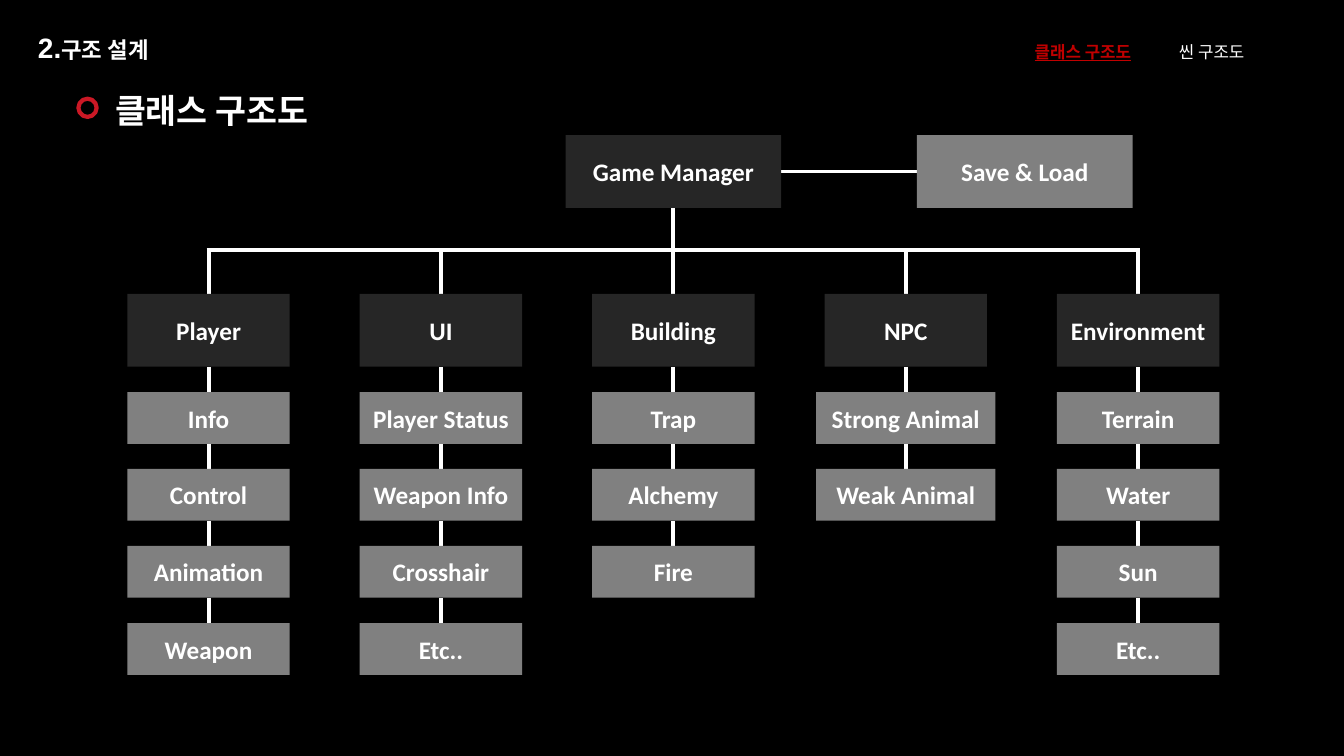
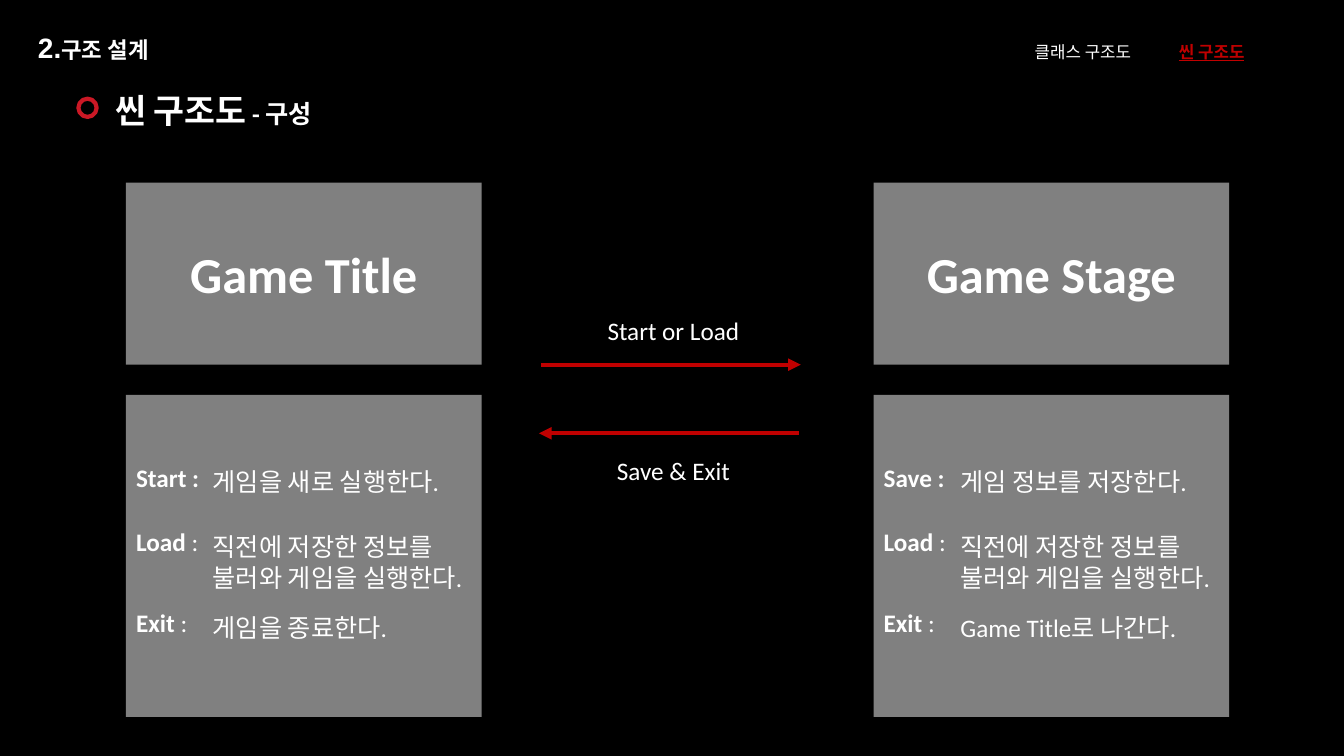
from lxml import etree
from pptx import Presentation
from pptx.dml.color import RGBColor
from pptx.enum.shapes import MSO_CONNECTOR, MSO_SHAPE
from pptx.enum.text import MSO_ANCHOR, MSO_AUTO_SIZE, PP_ALIGN
from pptx.oxml.ns import qn
from pptx.util import Pt

RECT, OVAL, STRAIGHT = MSO_SHAPE.RECTANGLE, MSO_SHAPE.OVAL, MSO_CONNECTOR.STRAIGHT
LEFT, CENTER = PP_ALIGN.LEFT, PP_ALIGN.CENTER
TOP, MIDDLE = MSO_ANCHOR.TOP, MSO_ANCHOR.MIDDLE
NO_FIT = MSO_AUTO_SIZE.NONE

COLORS = {"black": "000000", "white": "FFFFFF", "dark": "262626",
          "gray": "808080", "red": "C00000", "ring": "CB1825"}
RGB = {name: RGBColor.from_string(value) for name, value in COLORS.items()}


def write(sp, text, size=18, bold=False, color="white", font="Calibri",
          underline=False, align=LEFT):
    """Append a formatted run to the last paragraph of a shape."""
    p = sp.text_frame.paragraphs[-1]
    p.alignment = align
    r = p.add_run()
    r.text = text
    r.font.name, r.font.size = font, Pt(size)
    r.font.bold, r.font.underline = bold, underline
    r.font.color.rgb = RGB[color]


def add_line(s, x1, y1, x2, y2, color="white", width=2.75, arrow=False):
    """Draw a straight line, optionally with an arrowhead at its end."""
    c = s.shapes.add_connector(STRAIGHT, Pt(x1), Pt(y1), Pt(x2), Pt(y2))
    c.line.color.rgb, c.line.width = RGB[color], Pt(width)
    spPr = c._element.spPr
    if arrow:
        etree.SubElement(spPr.find(qn("a:ln")), qn("a:tailEnd"), type="triangle")
    etree.SubElement(spPr, qn("a:effectLst"))


prs = Presentation()
prs.slide_width, prs.slide_height = Pt(960), Pt(540)
background = prs.slide_master.background.fill
background.solid()
background.fore_color.rgb = RGB["black"]
class_slide = prs.slides.add_slide(prs.slide_layouts.get_by_name("Title Only"))
scene_slide = prs.slides.add_slide(prs.slide_layouts.get_by_name("Comparison"))

# Shared header: section, title with ring, navigation
NAV = [("클래스 구조도", 732), ("씬 구조도", 835)]
headers = [(class_slide, "클래스 구조도", ""), (scene_slide, "씬 구조도", " - 구성")]
for s, title, suffix in headers:
    sp = s.shapes.add_textbox(Pt(20), Pt(18), Pt(237), Pt(32))
    write(sp, "2.", size=20, bold=True, font="Arial")
    write(sp, "구조 설계", size=16, bold=True, font="Arial")

    sp = s.shapes.title
    sp.left, sp.top, sp.width, sp.height = Pt(75), Pt(60.5), Pt(300), Pt(36)
    tf = sp.text_frame
    tf.auto_size, tf.vertical_anchor = NO_FIT, TOP
    write(sp, title, size=24, bold=True)
    if suffix:
        write(sp, suffix, bold=True)

    ring = s.shapes.add_shape(OVAL, Pt(56), Pt(70.5), Pt(13), Pt(13))
    ring.shadow.inherit = False
    ring.fill.background()
    ring.line.color.rgb, ring.line.width = RGB["ring"], Pt(3)

    for name, x in NAV:
        active = name == title
        sp = s.shapes.add_textbox(Pt(x), Pt(26), Pt(95), Pt(22))
        write(sp, name, size=12, font="Arial", bold=active, underline=active,
              color="red" if active else "white")

# Class tree: one column per class, children below it
TREE = {
    "Player": ["Info", "Control", "Animation", "Weapon"],
    "UI": ["Player Status", "Weapon Info", "Crosshair", "Etc.."],
    "Building": ["Trap", "Alchemy", "Fire"],
    "NPC": ["Strong Animal", "Weak Animal"],
    "Environment": ["Terrain", "Water", "Sun", "Etc.."],
}
ROOT_Y, BUS_Y, HEAD_Y, HEAD_H = 96.5, 178.5, 210, 52
CHILD_Y, CHILD_H, CHILD_STEP = 280, 37, 55
centers = [149 + 166 * i for i in range(len(TREE))]
root_x = centers[2]
save_x = 732

# Each box: slide, text, size, centre x, top, width, height, colour
boxes = [
    (class_slide, "Game Manager", 18, root_x, ROOT_Y, 154, HEAD_H, "dark"),
    (class_slide, "Save & Load", 18, save_x, ROOT_Y, 154, HEAD_H, "gray"),
]
add_line(class_slide, root_x + 77, ROOT_Y + 26, save_x - 77, ROOT_Y + 26)
add_line(class_slide, root_x, ROOT_Y + HEAD_H, root_x, BUS_Y)
add_line(class_slide, centers[0] - 1.4, BUS_Y, centers[-1] + 1.4, BUS_Y)
for x, (name, children) in zip(centers, TREE.items()):
    add_line(class_slide, x, BUS_Y, x, HEAD_Y)
    boxes.append((class_slide, name, 18, x, HEAD_Y, 116, HEAD_H, "dark"))
    bottom = HEAD_Y + HEAD_H
    child_w = 128 if name == "NPC" else 116
    for row, child in enumerate(children):
        y = CHILD_Y + CHILD_STEP * row
        add_line(class_slide, x, bottom, x, y)
        boxes.append((class_slide, child, 18, x, y, child_w, CHILD_H, "gray"))
        bottom = y + CHILD_H

# Scenes: a box above a panel of commands
PANEL_Y, PANEL_W, PANEL_H, TEXT_X = 282, 254, 230, 62
LOAD_TEXT = ["직전에 저장한 정보를", "불러와 게임을 실행한다."]
scenes = [
    ("Game Title", 90, "Start", ["게임을 새로 실행한다."], ["게임을 종료한다."]),
    ("Game Stage", 624, "Save", ["게임 정보를 저장한다."], ["Game Title로 나간다."]),
]
bodies = [sp for sp in scene_slide.placeholders if sp.placeholder_format.idx > 0]
for i, (name, x, command, first_text, exit_text) in enumerate(scenes):
    boxes.append((scene_slide, name, 36, x + PANEL_W / 2, 130.5, PANEL_W, 130, "gray"))
    labels, texts = bodies[2 * i:2 * i + 2]
    labels.fill.solid()
    labels.fill.fore_color.rgb = RGB["gray"]
    # Each row: runs as (text, bold), space before
    label_rows = [([(command + " :", True)], 0),
                  ([("Load", True), (" :", False)], 24),
                  ([("Exit", True), (" :", False)], 36)]
    text_rows = [([(line, False)], 24 if n == 0 and row == 1 else 14 if row == 2 else 0)
                 for row, lines in enumerate([first_text, LOAD_TEXT, exit_text])
                 for n, line in enumerate(lines)]
    for sp, dx, inset_x, inset_y, rows in [(labels, 0, 7.2, 47.5, label_rows),
                                           (texts, TEXT_X, 0, 51, text_rows)]:
        sp.left, sp.top = Pt(x + dx), Pt(PANEL_Y)
        sp.width, sp.height = Pt(PANEL_W - dx), Pt(PANEL_H)
        tf = sp.text_frame
        tf.auto_size, tf.vertical_anchor = NO_FIT, TOP
        tf.margin_left, tf.margin_right, tf.margin_top = Pt(inset_x), Pt(0), Pt(inset_y)
        for n, (runs, before) in enumerate(rows):
            p = tf.add_paragraph() if n else tf.paragraphs[0]
            p.line_spacing, p.space_before = Pt(22), Pt(before)
            pPr = p._p.get_or_add_pPr()
            pPr.set("marL", "0")
            pPr.set("indent", "0")
            etree.SubElement(pPr, qn("a:buNone"))
            for text, bold in runs:
                write(sp, text, bold=bold)

# Boxes of both slides
for s, text, size, x, y, w, h, color in boxes:
    sp = s.shapes.add_shape(RECT, Pt(x - w / 2), Pt(y), Pt(w), Pt(h))
    sp.shadow.inherit = False
    sp.fill.solid()
    sp.fill.fore_color.rgb = RGB[color]
    sp.line.fill.background()
    tf = sp.text_frame
    tf.vertical_anchor = MIDDLE
    tf.margin_left = tf.margin_right = Pt(2)
    write(sp, text, size=size, bold=True, align=CENTER)

# Transitions between the scenes
for text, text_y, x1, x2, y in [("Start or Load", 222, 386.5, 572, 260.5),
                                ("Save & Exit", 322, 570.5, 385, 309.5)]:
    add_line(scene_slide, x1, y, x2, y, color="red", width=3, arrow=True)
    sp = scene_slide.shapes.add_textbox(Pt(381), Pt(text_y), Pt(200), Pt(29))
    sp.text_frame.word_wrap = True
    write(sp, text, align=CENTER)

prs.save("out.pptx")
